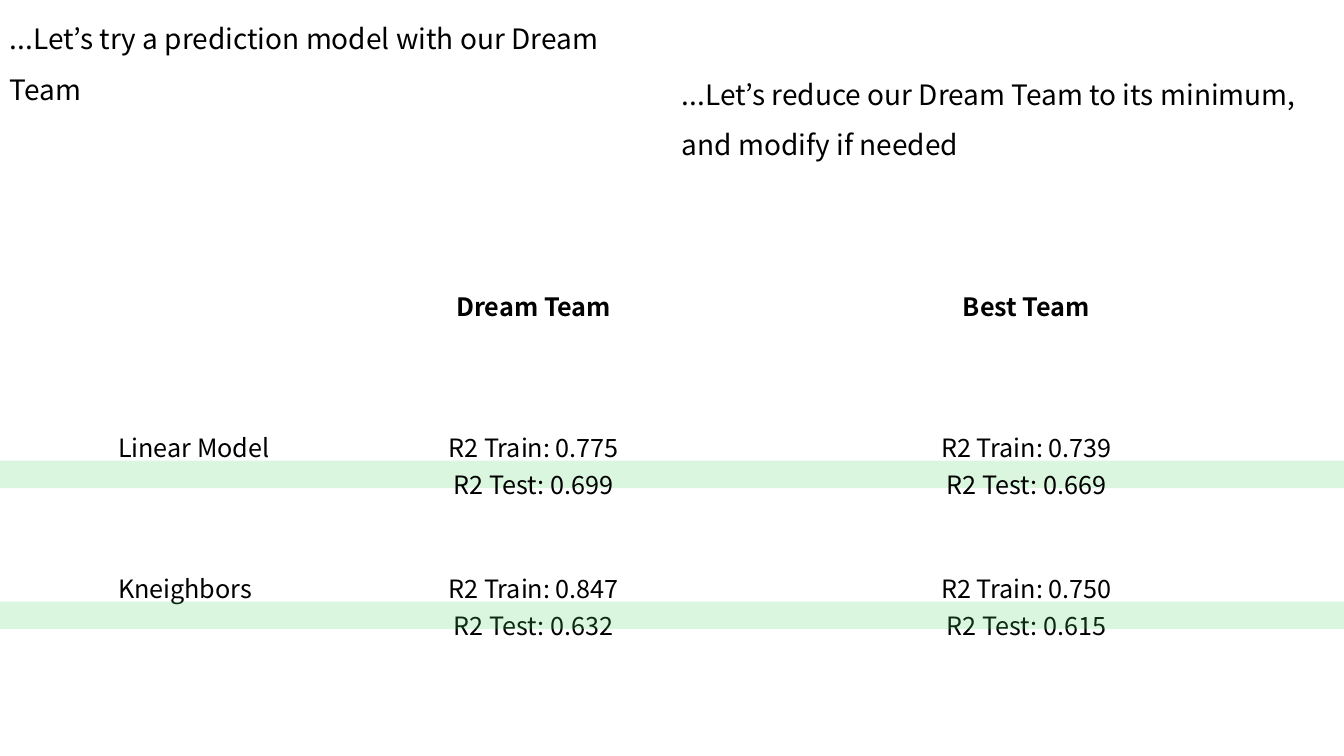
from pptx import Presentation
from pptx.dml.color import RGBColor
from pptx.enum.shapes import MSO_SHAPE
from pptx.enum.text import MSO_AUTO_SIZE, PP_ALIGN
from pptx.oxml.ns import qn
from pptx.util import Cm, Pt
from lxml import etree

RECT = MSO_SHAPE.RECTANGLE
CENTER = PP_ALIGN.CENTER
GROW = MSO_AUTO_SIZE.SHAPE_TO_FIT_TEXT
FONT = "Noto Sans CJK KR"
NO_GRID = "{2D5ABB26-0587-4C30-8999-92F81FD0307C}"
WIDTH = 33.87
HALF = WIDTH / 2


def style(para, size, bold=False):
    for run in para.runs:
        run.font.name = FONT
        run.font.size = Pt(size)
        run.font.bold = bold
        run.font.color.rgb = RGBColor.from_string("000000")


def add_band(top):
    """Add a see-through green bar across the slide."""
    band = slide.shapes.add_shape(RECT, 0, Cm(top), Cm(WIDTH), Cm(0.69))
    band.shadow.inherit = False
    band.line.fill.background()
    band.fill.solid()
    band.fill.fore_color.rgb = RGBColor.from_string("47D45A")
    color = band.fill._xPr.find(".//" + qn("a:srgbClr"))
    etree.SubElement(color, qn("a:alpha")).set("val", "20000")


prs = Presentation()
prs.slide_width = Cm(WIDTH)
prs.slide_height = Cm(19.05)
slide = prs.slides.add_slide(prs.slide_layouts[6])

# Highlight behind the linear model scores
add_band(11.61)

# Headings
heads = [
    (0, 0, "...Let’s try a prediction model with our Dream Team"),
    (HALF, 1.4, "...Let’s reduce our Dream Team to its minimum, and modify if needed"),
]
for left, top, text in heads:
    box = slide.shapes.add_textbox(Cm(left), Cm(top), Cm(HALF), Cm(2.62))
    frame = box.text_frame
    frame.word_wrap = True
    frame.auto_size = GROW
    frame.text = text
    frame.paragraphs[0].line_spacing = 1.5
    style(frame.paragraphs[0], 20)

# Score table
rows = [
    ["", "Dream Team", "Best Team"],
    ["Linear Model", "R2 Train: 0.775\nR2 Test: 0.699", "R2 Train: 0.739\nR2 Test: 0.669"],
    ["Kneighbors", "R2 Train: 0.847\nR2 Test: 0.632", "R2 Train: 0.750\nR2 Test: 0.615"],
]
widths = [4.52, 12.42, 12.42]
table = slide.shapes.add_table(
    3, 3, Cm(2.72), Cm(7.11), Cm(sum(widths)), Cm(10.67)).table
table.first_row = False
table.horz_banding = False
table._tbl.tblPr.find(qn("a:tableStyleId")).text = NO_GRID
for col, width in zip(table.columns, widths):
    col.width = Cm(width)
for r, row in enumerate(rows):
    for c, text in enumerate(row):
        cell = table.cell(r, c)
        cell.fill.background()
        cell.text_frame.text = text
        for para in cell.text_frame.paragraphs:
            if c > 0:
                para.alignment = CENTER
            style(para, 18, bold=r == 0)

# Highlight over the neighbour scores
add_band(15.16)

prs.save("out.pptx")
